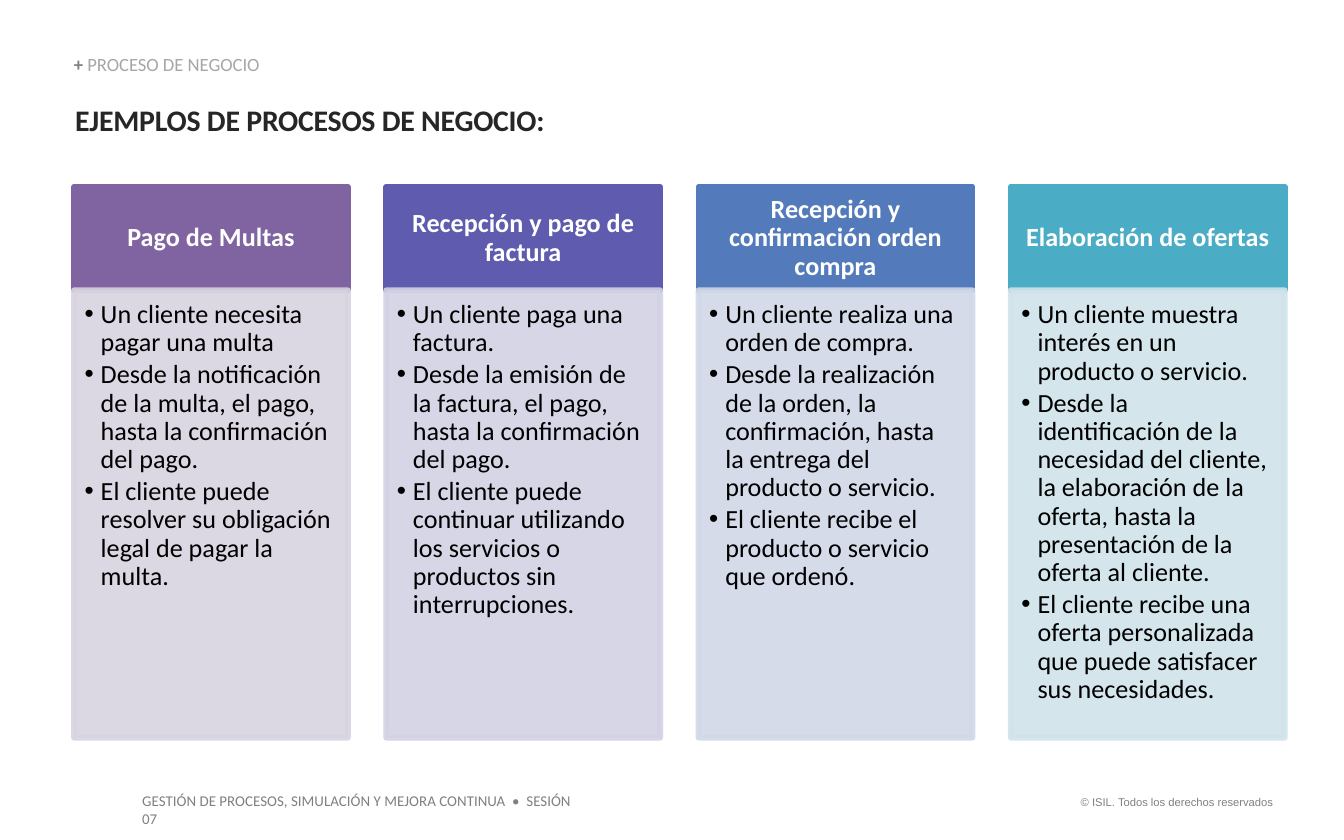
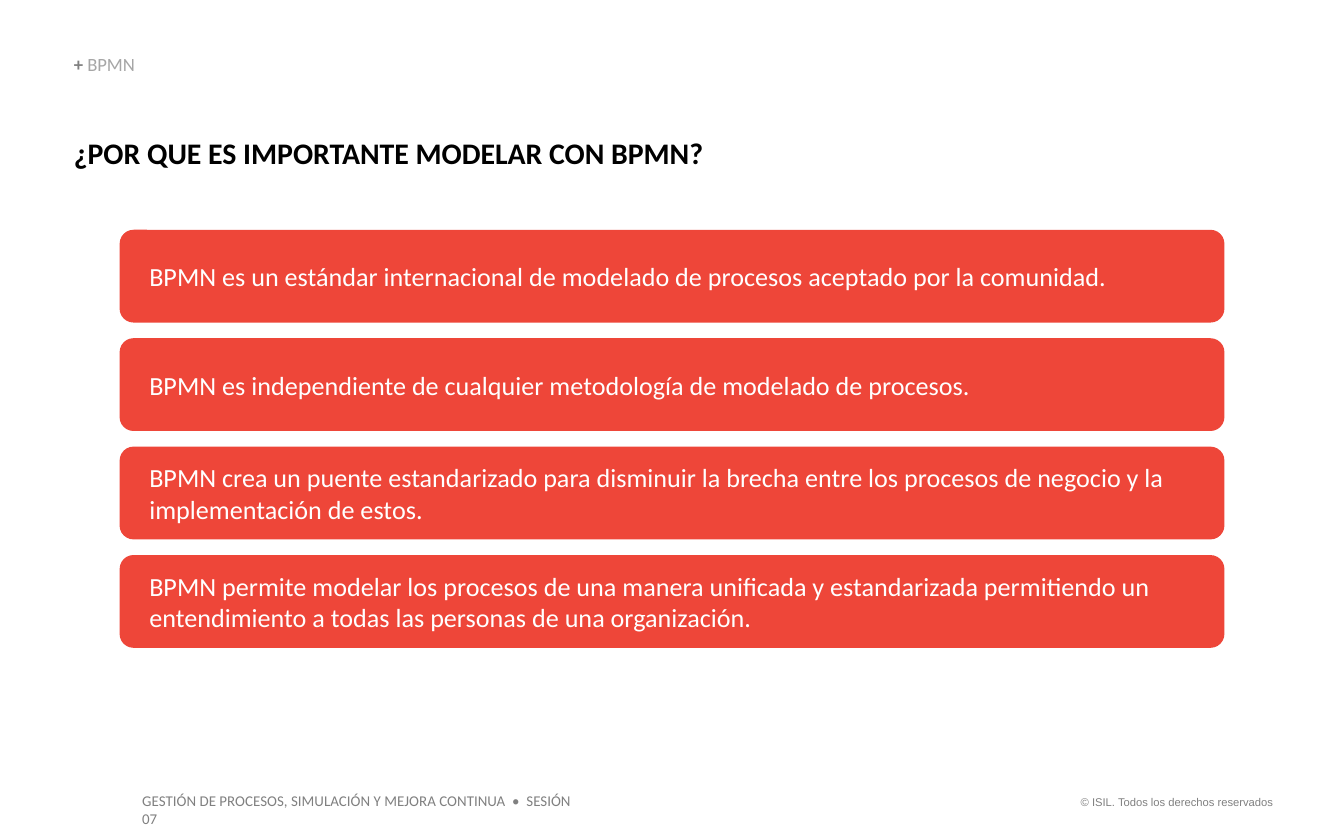
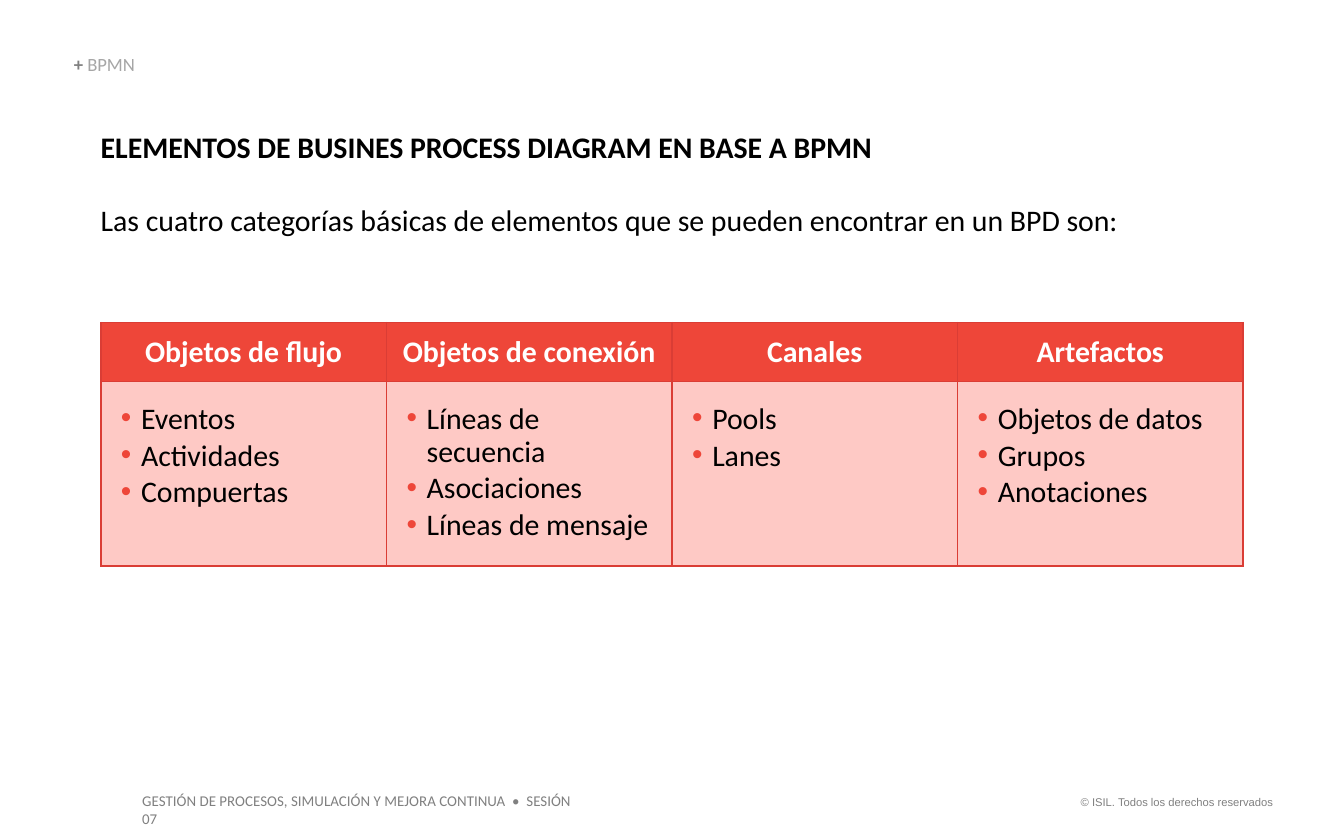
import pptx
import pptx.dml.color
import pptx.enum.shapes
import pptx.enum.text
import pptx.oxml.ns
import pptx.util
from dataclasses import dataclass
from lxml import etree

Inches = pptx.util.Inches
Pt = pptx.util.Pt
qn = pptx.oxml.ns.qn
Align = pptx.enum.text.PP_ALIGN
Anchor = pptx.enum.text.MSO_ANCHOR
Preset = pptx.enum.shapes.MSO_SHAPE


@dataclass(frozen=True)
class Theme:
    font: str = "Calibri"
    copyright_font: str = "Arial"
    black: str = "000000"
    dark: str = "262626"
    white: str = "FFFFFF"
    gray: str = "808080"
    light_gray: str = "A6A6A6"
    red: str = "EE4639"
    pink: str = "FEC9C5"
    border: str = "DA3D35"
    title_size: float = 16
    body_size: float = 14
    section_size: float = 10
    footer_size: float = 8
    copyright_size: float = 6


THEME = Theme()

COURSE = "GESTIÓN DE PROCESOS, SIMULACIÓN Y MEJORA CONTINUA  •  SESIÓN 07"
COPYRIGHT = "© ISIL. Todos los derechos reservados"

# heading, header colour, body colour, points
PROCESSES = [
    ("Pago de Multas", "8064A2", "D8D3E0", [
        "Un cliente necesita pagar una multa",
        "Desde la notificación de la multa, el pago, hasta la confirmación del pago.",
        "El cliente puede resolver su obligación legal de pagar la multa.",
    ]),
    ("Recepción y pago de factura", "5F5BAE", "D2D2E4", [
        "Un cliente paga una factura.",
        "Desde la emisión de la factura, el pago, hasta la confirmación del pago.",
        "El cliente puede continuar utilizando los servicios o productos sin interrupciones.",
    ]),
    ("Recepción y confirmación orden compra", "537ABA", "D1D8E7", [
        "Un cliente realiza una orden de compra.",
        "Desde la realización de la orden, la confirmación, hasta la entrega del "
        "producto o servicio.",
        "El cliente recibe el producto o servicio que ordenó.",
    ]),
    ("Elaboración de ofertas", "4BACC6", "D0E3EA", [
        "Un cliente muestra interés en un producto o servicio.",
        "Desde la identificación de la necesidad del cliente, la elaboración de la "
        "oferta, hasta la presentación de la oferta al cliente.",
        "El cliente recibe una oferta personalizada que puede satisfacer sus necesidades.",
    ]),
]

REASONS = [
    "BPMN es un estándar internacional de modelado de procesos aceptado por la comunidad.",
    "BPMN es independiente de cualquier metodología de modelado de procesos.",
    "BPMN crea un puente estandarizado para disminuir la brecha entre los procesos de "
    "negocio y la implementación de estos.",
    "BPMN permite modelar los procesos de una manera unificada y estandarizada "
    "permitiendo un entendimiento a todas las personas de una organización.",
]

ELEMENTS = {
    "Objetos de flujo": ["Eventos", "Actividades", "Compuertas"],
    "Objetos de conexión": ["Líneas de secuencia", "Asociaciones", "Líneas de mensaje"],
    "Canales": ["Pools", "Lanes"],
    "Artefactos": ["Objetos de datos", "Grupos", "Anotaciones"],
}


def rgb(value):
    return pptx.dml.color.RGBColor.from_string(value)


def spread(start, end, size, count):
    """Starts of equal parts that fill start..end with equal gaps."""
    step = (end - start - size) / (count - 1)
    return [start + index * step for index in range(count)]


def set_font(font, size, color, bold=False, name=THEME.font):
    font.name = name
    font.size = Pt(size)
    font.bold = bold
    font.color.rgb = rgb(color)


def set_margins(holder, left, top, right, bottom):
    """Inner margins of a text frame or a table cell."""
    holder.margin_left, holder.margin_top = Inches(left), Inches(top)
    holder.margin_right, holder.margin_bottom = Inches(right), Inches(bottom)


def add_text(slide, box, lines, size, color, bold=False, align=Align.LEFT,
             margins=(0, 0, 0, 0), name=THEME.font):
    shape = slide.shapes.add_textbox(*map(Inches, box))
    frame = shape.text_frame
    frame.word_wrap = True
    set_margins(frame, *margins)
    write(frame, lines, size, color, bold, align, name=name)
    return shape


def write(frame, lines, size, color, bold=False, align=Align.LEFT,
          spacing=None, name=THEME.font):
    for index, line in enumerate(lines):
        paragraph = frame.paragraphs[0] if index == 0 else frame.add_paragraph()
        paragraph.text = line
        paragraph.alignment = align
        paragraph.line_spacing = spacing
        set_font(paragraph.font, size, color, bold, name)


def write_bullets(frame, lines, size, left, hanging, color=None):
    for index, line in enumerate(lines):
        paragraph = frame.paragraphs[0] if index == 0 else frame.add_paragraph()
        paragraph.text = line
        paragraph.alignment = Align.LEFT
        paragraph.line_spacing = 0.9
        paragraph.space_after = Pt(2)
        properties = paragraph._p.get_or_add_pPr()
        properties.set("marL", str(Inches(left)))
        properties.set("indent", str(-Inches(hanging)))
        if color:
            bullet_color = etree.SubElement(properties, qn("a:buClr"))
            etree.SubElement(bullet_color, qn("a:srgbClr"), val=color)
        etree.SubElement(properties, qn("a:buFont"), typeface="Arial")
        etree.SubElement(properties, qn("a:buChar"), char="•")
        set_font(paragraph.font, size, THEME.black)


def add_panel(slide, preset, box, fill, margins, anchor, line_width=0, opacity=100):
    shape = slide.shapes.add_shape(preset, *map(Inches, box))
    shape.shadow.inherit = False
    shape.fill.solid()
    shape.fill.fore_color.rgb = rgb(fill)
    if line_width:
        shape.line.width = Pt(line_width)
        shape.line.color.rgb = rgb(fill)
    else:
        shape.line.fill.background()
    if opacity < 100:
        for color in list(shape.element.spPr.iter(qn("a:srgbClr"))):
            etree.SubElement(color, qn("a:alpha"), val=str(opacity * 1000))
    frame = shape.text_frame
    frame.word_wrap = True
    frame.vertical_anchor = anchor
    set_margins(frame, *margins)
    return shape


def prepare_layout(layout, slide):
    """Replace the layout's placeholders with the footer that all slides share."""
    for placeholder in list(layout.placeholders):
        layout.shapes.element.remove(placeholder.element)
    margins = (0.1, 0.05, 0.1, 0.05)
    footers = [
        add_text(slide, (7.88, 5.87, 1.69, 0.2), [COPYRIGHT], THEME.copyright_size,
                 THEME.gray, align=Align.RIGHT, margins=margins,
                 name=THEME.copyright_font),
        add_text(slide, (0.96, 5.84, 3.53, 0.24), [COURSE], THEME.footer_size,
                 THEME.gray, margins=margins),
    ]
    for footer in footers:
        layout.shapes.element.append(footer.element)


def add_section(slide, name):
    shape = slide.shapes.add_textbox(*map(Inches, (0.55, 0.41, 2.66, 0.15)))
    frame = shape.text_frame
    frame.word_wrap = True
    frame.vertical_anchor = Anchor.BOTTOM
    set_margins(frame, 0, 0, 0, 0)
    paragraph = frame.paragraphs[0]
    paragraph.line_spacing = 0.9
    for text, color, bold in [("+ ", THEME.gray, True), (name, THEME.light_gray, False)]:
        run = paragraph.add_run()
        run.text = text
        set_font(run.font, THEME.section_size, color, bold)


def add_title(slide, box, text, color=THEME.black):
    return add_text(slide, box, [text], THEME.title_size, color, bold=True)


def build_examples(slide):
    add_section(slide, "PROCESO DE NEGOCIO")
    title = add_title(slide, (0.56, 0.76, 8.86, 0.27),
                      "EJEMPLOS DE PROCESOS DE NEGOCIO:", THEME.dark)
    properties = title.text_frame.paragraphs[0]._p.get_or_add_pPr()
    properties.find(qn("a:defRPr")).set("spc", "-10")

    width, top, header_height, body_height = 2.04, 1.39, 0.77, 3.33
    lefts = spread(0.55, 9.56, width, len(PROCESSES))
    for left, (heading, dark, light, points) in zip(lefts, PROCESSES):
        header = add_panel(slide, Preset.RECTANGLE, (left, top, width, header_height),
                           dark, (0.11, 0.06, 0.11, 0.06), Anchor.MIDDLE, 3)
        write(header.text_frame, [heading], THEME.body_size, THEME.white, True,
              Align.CENTER, 0.9)
        body = add_panel(slide, Preset.RECTANGLE,
                         (left, top + header_height, width, body_height),
                         light, (0.08, 0.08, 0.11, 0.12), Anchor.TOP, 3, 90)
        write_bullets(body.text_frame, points, THEME.body_size, 0.12, 0.12)


def build_reasons(slide):
    add_section(slide, "BPMN")
    add_title(slide, (0.55, 1, 8.93, 0.27), "¿POR QUE ES IMPORTANTE MODELAR CON BPMN?")
    height = 0.69
    for top, reason in zip(spread(1.71, 4.82, height, len(REASONS)), REASONS):
        bar = add_panel(slide, Preset.ROUNDED_RECTANGLE, (0.89, top, 8.22, height),
                        THEME.red, (0.19, 0.05, 0.1, 0.05), Anchor.MIDDLE)
        bar.adjustments[0] = 0.15
        write(bar.text_frame, [reason], THEME.body_size, THEME.white)


def style_cell(cell, fill):
    properties = cell._tc.get_or_add_tcPr()
    for side in ("lnL", "lnR", "lnT", "lnB"):
        line = etree.SubElement(properties, qn(f"a:{side}"), w=str(Pt(1)))
        solid = etree.SubElement(line, qn("a:solidFill"))
        etree.SubElement(solid, qn("a:srgbClr"), val=THEME.border)
    cell.fill.solid()
    cell.fill.fore_color.rgb = rgb(fill)


def build_elements(slide):
    add_section(slide, "BPMN")
    title = add_title(slide, (0.75, 0.96, 8.93, 1.08),
                      "ELEMENTOS DE BUSINES PROCESS DIAGRAM EN BASE A BPMN")
    intro = title.text_frame.add_paragraph()
    intro.text = ("Las cuatro categorías básicas de elementos que se pueden "
                  "encontrar en un BPD son:")
    intro.space_before = Pt(19.5)
    set_font(intro.font, THEME.title_size, THEME.black)

    frame = slide.shapes.add_table(2, len(ELEMENTS), *map(Inches, (0.75, 2.4, 8.5, 1.81)))
    table = frame.table
    table.horz_banding = False
    table.rows[0].height, table.rows[1].height = Inches(0.44), Inches(1.37)
    for column, (category, items) in enumerate(ELEMENTS.items()):
        header, body = table.cell(0, column), table.cell(1, column)
        style_cell(header, THEME.red)
        header.vertical_anchor = Anchor.MIDDLE
        write(header.text_frame, [category], THEME.title_size, THEME.white, True,
              Align.CENTER)
        style_cell(body, THEME.pink)
        set_margins(body, 0.1, 0.16, 0.1, 0.05)
        write_bullets(body.text_frame, items, THEME.title_size, 0.2, 0.15, THEME.red)


def main():
    presentation = pptx.Presentation()
    presentation.slide_width = Inches(10)
    presentation.slide_height = Inches(6.25)
    layout = presentation.slide_layouts[6]
    for number, build in enumerate((build_examples, build_reasons, build_elements)):
        slide = presentation.slides.add_slide(layout)
        if number == 0:
            prepare_layout(layout, slide)
        build(slide)
    presentation.save("out.pptx")


if __name__ == "__main__":
    main()
